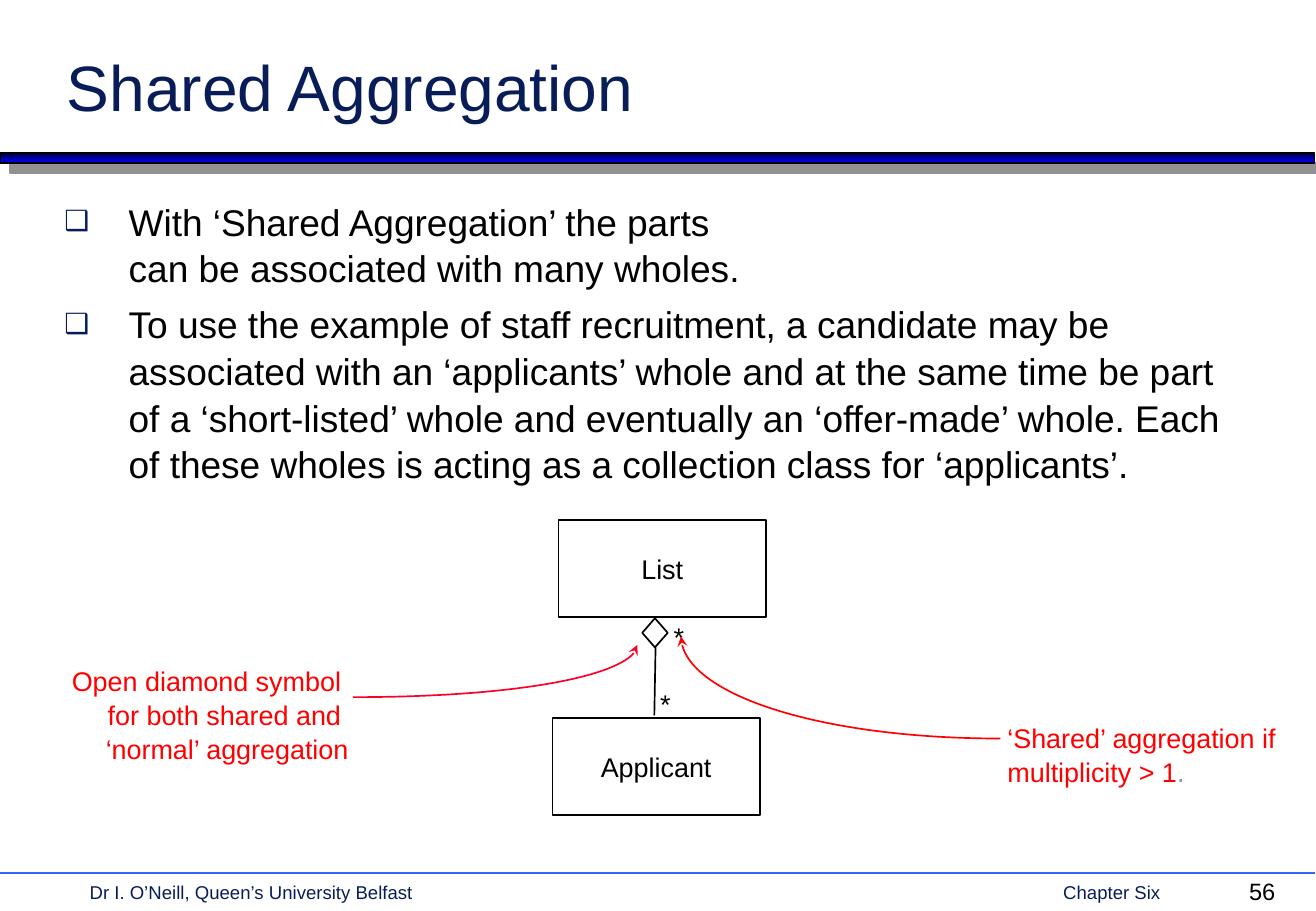
from lxml import etree
from pptx import Presentation
from pptx.dml.color import RGBColor
from pptx.enum.shapes import MSO_CONNECTOR, MSO_SHAPE
from pptx.enum.text import MSO_ANCHOR, MSO_AUTO_SIZE, PP_ALIGN
from pptx.oxml import parse_xml
from pptx.oxml.ns import nsdecls, qn
from pptx.util import Inches, Pt

LEFT, CENTER, RIGHT = PP_ALIGN.LEFT, PP_ALIGN.CENTER, PP_ALIGN.RIGHT
TOP, MIDDLE, BOTTOM = MSO_ANCHOR.TOP, MSO_ANCHOR.MIDDLE, MSO_ANCHOR.BOTTOM
RECT, DIAMOND = MSO_SHAPE.RECTANGLE, MSO_SHAPE.DIAMOND
STRAIGHT = MSO_CONNECTOR.STRAIGHT
NO_AUTOFIT = MSO_AUTO_SIZE.NONE

NAVY = RGBColor(0x08, 0x1D, 0x58)
BLACK = RGBColor(0, 0, 0)
WHITE = RGBColor(0xFF, 0xFF, 0xFF)
RED = RGBColor(0xFF, 0, 0)
CRIMSON = RGBColor(0xFC, 0x01, 0x28)
GREY = RGBColor(0x91, 0x91, 0x91)
RULE_BLUE = RGBColor(0x33, 0x66, 0xFF)
BAR_STOPS = (RGBColor(0, 0, 0x36), RGBColor(0, 0, 0xFF))

TITLE = "Shared Aggregation"
BULLETS = [
    ["With ‘Shared Aggregation’ the parts", "can be associated with many wholes."],
    ["To use the example of staff recruitment, a candidate may be associated with "
     "an ‘applicants’ whole and at the same time be part of a ‘short-listed’ whole "
     "and eventually an ‘offer-made’ whole. Each of these wholes is acting as a "
     "collection class for ‘applicants’."],
]
CLASSES = [
    (RECT, "List", (4.6, 4.28, 1.71, 0.8)),
    (RECT, "Applicant", (4.55, 5.91, 1.71, 0.8)),
    (DIAMOND, "", (5.29, 5.09, 0.21, 0.24)),
]
LINES = [
    ((0, 7.19), (10.83, 7.19), RULE_BLUE),
    ((5.4, 5.33), (5.39, 5.89), BLACK),
]
LABELS = [
    ((0.64, 7.2, 4, 0.28), LEFT, 11, NAVY, ["Dr I. O’Neill, Queen’s University Belfast"]),
    ((8.66, 7.2, 1.2, 0.28), LEFT, 11, NAVY, ["Chapter Six"]),
    ((10.19, 7.17, 0.58, 0.34), LEFT, 14, BLACK, ["56"]),
    ((5.45, 5.06, 0.29, 0.37), LEFT, 16, BLACK, ["*"]),
    ((5.34, 5.61, 0.29, 0.37), LEFT, 16, BLACK, ["*"]),
    ((8.2, 5.88, 2.48, 0.63), LEFT, 16, RED,
     ["‘Shared’ aggregation if", "multiplicity > 1"]),
    ((0.49, 5.41, 2.48, 0.9), RIGHT, 16, RED,
     ["Open diamond symbol ", "for both shared and ", "‘normal’ aggregation"]),
]
ARROWS = [
    ((8.24, 6.08), (5.61, 5.24), RED),
    ((2.91, 5.74), (5.25, 5.31), CRIMSON),
]


def add_run(p, text, size, color):
    r = p.add_run()
    r.text = text
    r.font.name = "Arial"
    r.font.size = Pt(size)
    r.font.color.rgb = color


def place(sp, box):
    sp.left, sp.top, sp.width, sp.height = map(Inches, box)


def setup_frame(tf, anchor, wrap):
    tf.auto_size = NO_AUTOFIT
    tf.vertical_anchor = anchor
    tf.word_wrap = wrap


def add_shape(kind, box):
    sp = slide.shapes.add_shape(kind, *map(Inches, box))
    sp.shadow.inherit = False
    sp.line.color.rgb = BLACK
    sp.line.width = Pt(1)
    return sp


def add_label(box, align, size, color, lines):
    tf = slide.shapes.add_textbox(*map(Inches, box)).text_frame
    setup_frame(tf, TOP, False)
    for i, text in enumerate(lines):
        p = tf.paragraphs[0] if i == 0 else tf.add_paragraph()
        p.alignment = align
        if len(lines) > 1:
            p.line_spacing = 1.05
        add_run(p, text, size, color)
    return tf


def add_line(start, end, color):
    line = slide.shapes.add_connector(STRAIGHT, *map(Inches, start + end))
    line.line.color.rgb = color
    line.line.width = Pt(1)
    etree.SubElement(line._element.spPr, qn("a:effectLst"))


def add_curved_arrow(start, tip, color):
    (x1, y1), (x2, y2) = start, tip
    builder = slide.shapes.build_freeform(Inches(x1), Inches(y1))
    builder.add_line_segments([(Inches(x2), Inches(y2))], close=False)
    sp = builder.convert_to_shape()
    sp.shadow.inherit = False
    sp.fill.background()
    sp.line.color.rgb = color
    sp.line.width = Pt(1)
    etree.SubElement(sp._element.spPr.find(qn("a:ln")), qn("a:tailEnd"), type="stealth")
    segment = next(sp._element.iter(qn("a:lnTo")))
    curve = etree.Element(qn("a:cubicBezTo"))
    controls = [(x1 + 0.55 * (x2 - x1), y1), (x2, y1 + 0.45 * (y2 - y1)), tip]
    for x, y in controls:
        etree.SubElement(curve, qn("a:pt"), x=str(Inches(x - min(x1, x2))),
                         y=str(Inches(y - min(y1, y2))))
    segment.getparent().replace(segment, curve)


def add_bullet(p):
    pPr = p._p.get_or_add_pPr()
    pPr.set("marL", str(Inches(0.53)))
    pPr.set("indent", str(-Inches(0.53)))
    color = etree.SubElement(pPr, qn("a:buClr"))
    etree.SubElement(color, qn("a:srgbClr"), val=str(NAVY))
    etree.SubElement(pPr, qn("a:buSzPct"), val="75000")
    etree.SubElement(pPr, qn("a:buChar"), char="❑")


prs = Presentation()
prs.slide_width, prs.slide_height = Inches(10.84), Inches(7.5)
slide = prs.slides.add_slide(prs.slide_layouts[1])

title, body = slide.shapes.title, slide.placeholders[1]
place(title, (0.45, 0.29, 9.25, 0.78))
setup_frame(title.text_frame, BOTTOM, True)
p = title.text_frame.paragraphs[0]
p.alignment = LEFT
add_run(p, TITLE, 38, NAVY)

place(body, (0.43, 1.57, 9.99, 5.35))
tf = body.text_frame
setup_frame(tf, TOP, True)
for i, lines in enumerate(BULLETS):
    p = tf.paragraphs[0] if i == 0 else tf.add_paragraph()
    add_bullet(p)
    p.line_spacing = 1.05
    p.space_before = Pt(5.5 if i else 0)
    for j, text in enumerate(lines):
        if j:
            p.add_line_break()
        add_run(p, text, 22, BLACK)

bar = add_shape(RECT, (0, 1.26, 10.83, 0.08))
bar.fill.gradient()
bar.fill.gradient_angle = 270
for stop, color in zip(bar.fill.gradient_stops, BAR_STOPS):
    stop.color.rgb = color
bar._element.spPr.find(qn("a:effectLst")).append(parse_xml(
    f'<a:outerShdw {nsdecls("a")} dist="{Pt(8.5)}" dir="2700000" algn="ctr" '
    f'rotWithShape="0"><a:srgbClr val="{GREY}"/></a:outerShdw>'))

for kind, name, box in CLASSES:
    sp = add_shape(kind, box)
    sp.fill.solid()
    sp.fill.fore_color.rgb = WHITE
    if name:
        setup_frame(sp.text_frame, MIDDLE, False)
        p = sp.text_frame.paragraphs[0]
        p.alignment = CENTER
        add_run(p, name, 16, BLACK)

for line in LINES:
    add_line(*line)
for label in LABELS:
    tf = add_label(*label)
    if label[-1][-1] == "multiplicity > 1":
        add_run(tf.paragraphs[-1], ".", 16, GREY)
for arrow in ARROWS:
    add_curved_arrow(*arrow)

prs.save("out.pptx")
